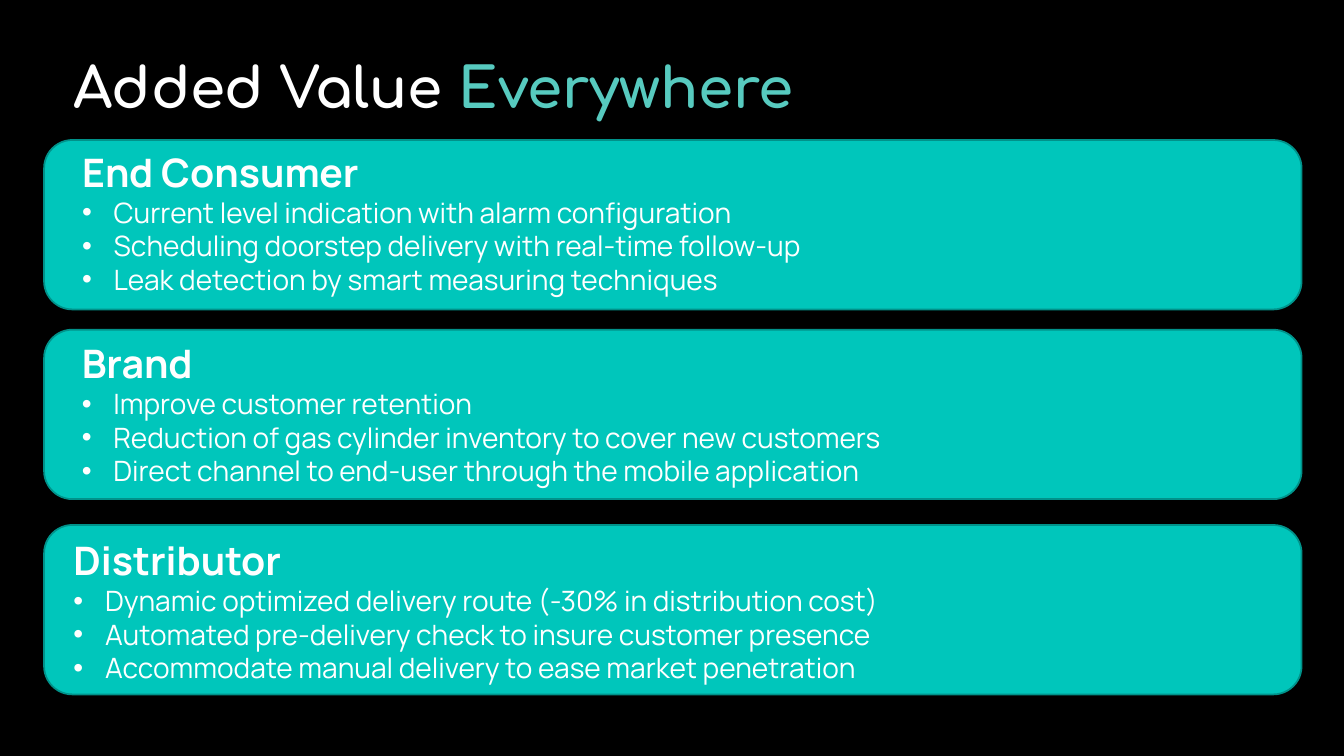
from dataclasses import dataclass

from lxml.etree import SubElement
from pptx import Presentation
from pptx.dml.color import RGBColor as RGB
from pptx.enum.shapes import MSO_SHAPE as SHAPE
from pptx.enum.text import MSO_ANCHOR as ANCHOR, MSO_AUTO_SIZE as FIT, PP_ALIGN as ALIGN
from pptx.oxml.ns import qn
from pptx.util import Pt


@dataclass(frozen=True)
class Theme:
    """Colours, fonts and type sizes of the slide."""
    back: RGB = RGB(0, 0, 0)
    text: RGB = RGB(255, 255, 255)
    accent: RGB = RGB.from_string("57CABF")
    card: RGB = RGB.from_string("00C6BB")
    edge: RGB = RGB.from_string("00928A")
    title_font: str = "Comfortaa"
    body_font: str = "Manrope"
    title_size: int = 40
    heading_size: int = 28
    item_size: int = 20


THEME = Theme()
CARD_LEFT, CARD_WIDTH, CARD_HEIGHT = 31.5, 898.2, 121
INDENT = 22.5
CARDS = [
    (100, (20, 2.2), "End Consumer", [
        "Current level indication with alarm configuration",
        "Scheduling doorstep delivery with real-time follow-up",
        "Leak detection by smart measuring techniques"]),
    (235.5, (19.7, 3.5), "Brand", [
        "Improve customer retention",
        "Reduction of gas cylinder inventory to cover new customers",
        "Direct channel to end-user through the mobile application"]),
    (375, (13.8, 4.7), "Distributor", [
        "Dynamic optimized delivery route (-30% in distribution cost)",
        "Automated pre-delivery check to insure customer presence",
        "Accommodate manual delivery to ease market penetration"]),
]


def place(sp, x, y, w, h):
    """Move and size a shape, in points."""
    sp.left, sp.top, sp.width, sp.height = Pt(x), Pt(y), Pt(w), Pt(h)


def prepare_frame(sp):
    """Give a placeholder a top-anchored, wrapping frame of fixed size."""
    tf = sp.text_frame
    tf.word_wrap, tf.auto_size = True, FIT.NONE
    tf.vertical_anchor = ANCHOR.TOP
    return tf


def add_run(p, text, font, size, color, bold):
    """Append a formatted run to a paragraph."""
    r = p.add_run()
    r.text = text
    r.font.name, r.font.size, r.font.bold = font, Pt(size), bold
    r.font.color.rgb = color


def format_paragraph(p, bullet=None):
    """Set left alignment, tight spacing and an optional hanging bullet."""
    p.alignment, p.line_spacing = ALIGN.LEFT, 1.0
    p.space_before = p.space_after = Pt(0)
    pPr = p._p.get_or_add_pPr()
    indent = Pt(INDENT) if bullet else 0
    pPr.set("marL", str(indent))
    pPr.set("indent", str(-indent))
    if bullet:
        SubElement(pPr, qn("a:buFont"), typeface="Arial")
        SubElement(pPr, qn("a:buChar"), char=bullet)
    else:
        SubElement(pPr, qn("a:buNone"))


def add_title(sp, x, y, w, h):
    """Fill the title placeholder with its two-coloured line."""
    place(sp, x, y, w, h)
    p = prepare_frame(sp).paragraphs[0]
    format_paragraph(p)
    for text, color in (("Added Value ", THEME.text), ("Everywhere", THEME.accent)):
        add_run(p, text, THEME.title_font, THEME.title_size, color, True)


def add_card(s, body, box, inset, heading, items):
    """Draw a rounded card behind a body placeholder holding heading and list."""
    x, y, w, h = box
    dx, dy = inset
    card = s.shapes.add_shape(SHAPE.ROUNDED_RECTANGLE, Pt(x), Pt(y), Pt(w), Pt(h))
    card.shadow.inherit = False
    card.fill.solid()
    card.fill.fore_color.rgb = THEME.card
    card.line.color.rgb, card.line.width = THEME.edge, Pt(1.25)
    body._element.addprevious(card._element)

    place(body, x + dx, y + dy, w - 2 * dx, 114)
    tf = prepare_frame(body)
    p = tf.paragraphs[0]
    format_paragraph(p)
    add_run(p, heading, THEME.body_font, THEME.heading_size, THEME.text, True)
    for item in items:
        p = tf.add_paragraph()
        format_paragraph(p, "•")
        add_run(p, item, THEME.body_font, THEME.item_size, THEME.text, False)


def build_slide(prs):
    """Build the title and the three cards on a comparison layout."""
    s = prs.slides.add_slide(prs.slide_layouts[4])
    s.background.fill.solid()
    s.background.fill.fore_color.rgb = THEME.back
    title, *bodies = list(s.placeholders)
    add_title(title, 45.5, 33.7, 832, 76)
    for body, (y, inset, heading, items) in zip(bodies, CARDS):
        add_card(s, body, (CARD_LEFT, y, CARD_WIDTH, CARD_HEIGHT), inset, heading, items)
    for spare in bodies[len(CARDS):]:
        spare._element.getparent().remove(spare._element)


def main():
    """Create and save the presentation."""
    prs = Presentation()
    prs.slide_width, prs.slide_height = Pt(960), Pt(540)
    build_slide(prs)
    prs.save("out.pptx")


if __name__ == "__main__":
    main()
